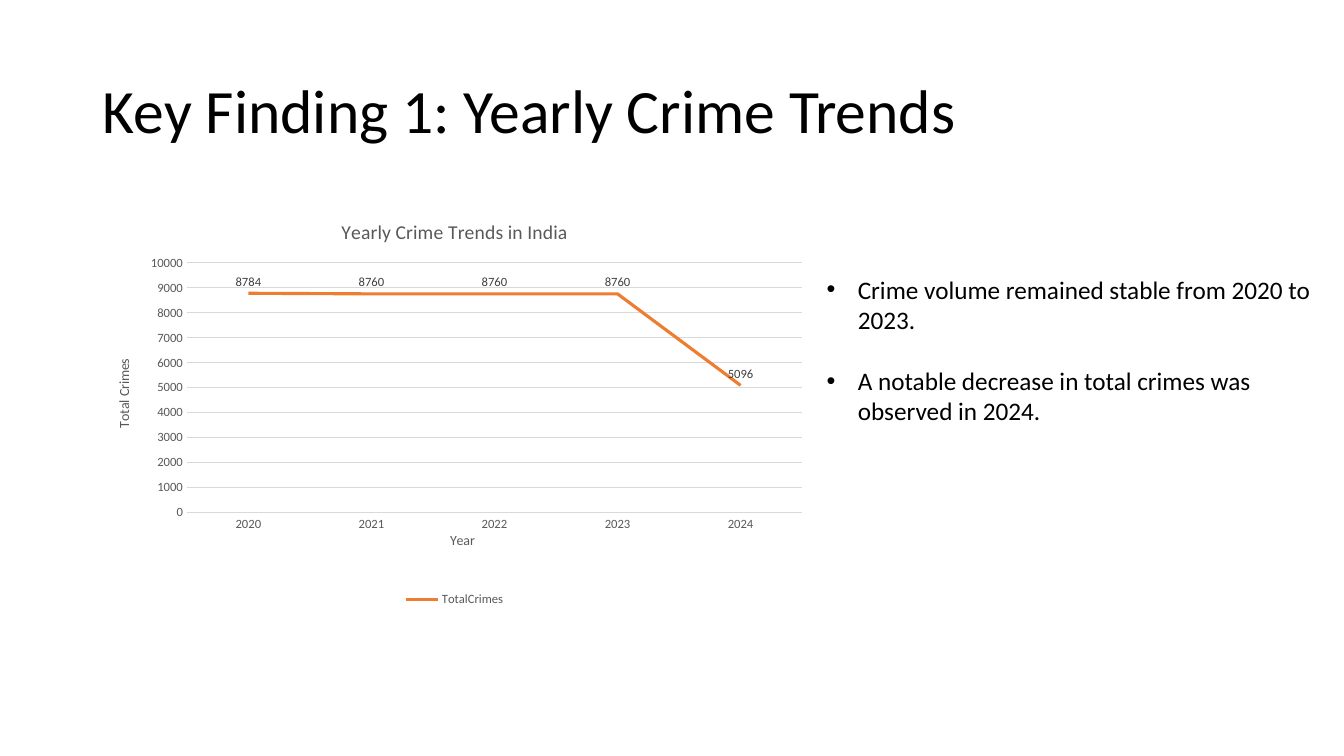
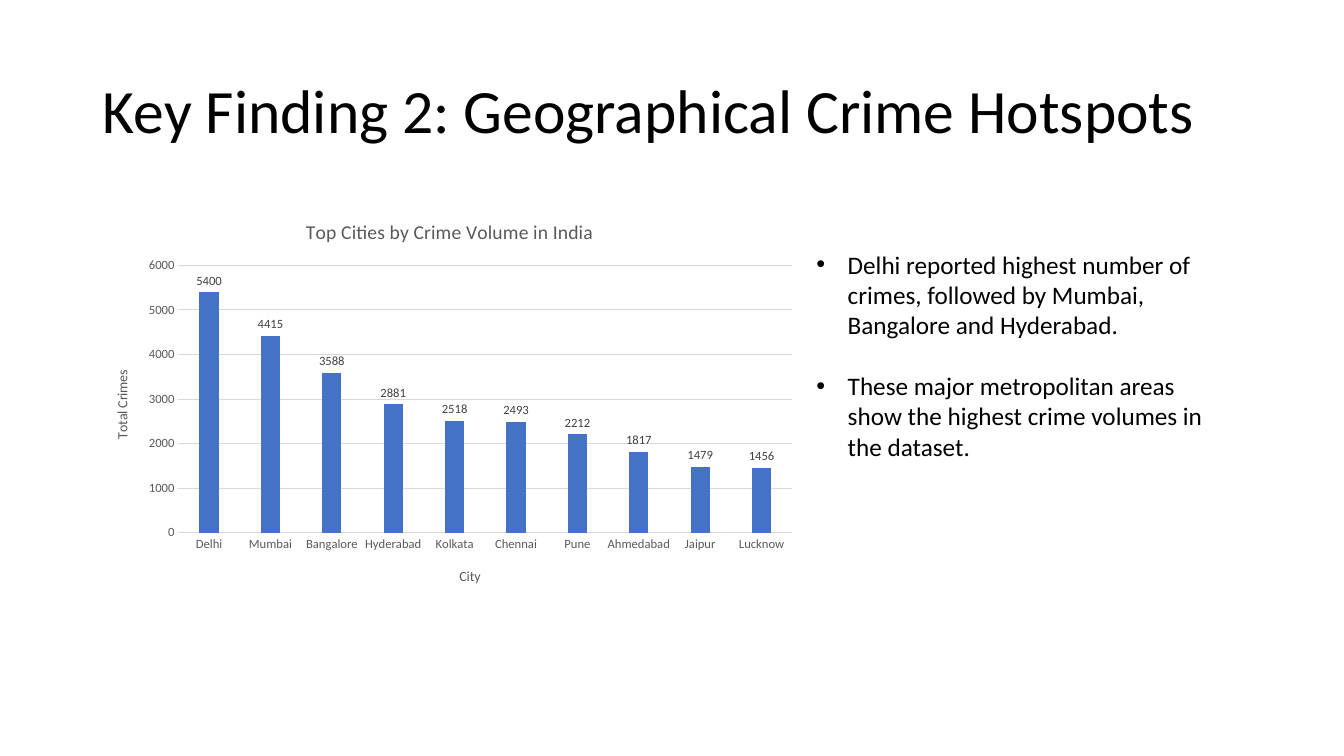
from lxml.etree import SubElement
from pptx import Presentation
from pptx.chart.data import CategoryChartData
from pptx.dml.color import RGBColor
from pptx.enum.chart import XL_CHART_TYPE as ChartType
from pptx.enum.chart import XL_LABEL_POSITION as LabelPos
from pptx.enum.chart import XL_LEGEND_POSITION as LegendPos
from pptx.enum.chart import XL_TICK_MARK as TickMark
from pptx.enum.text import MSO_ANCHOR, MSO_AUTO_SIZE, PP_ALIGN
from pptx.oxml.ns import qn
from pptx.util import Pt

PX = 9144
FONT = "Calibri"
COLORS = {
    "text": "000000",
    "chart_text": "595959",
    "label": "404040",
    "grid": "D9D9D9",
    "orange": "ED7D31",
    "blue": "4472C4",
}
SLIDE_SIZE = (1333, 750)
TITLE_BOX = (92, 40, 1150, 145)
BULLET_INDENT = 31

FINDINGS = [
    {
        "title": "Key Finding 1: Yearly Crime Trends",
        "points": [
            "Crime volume remained stable from 2020 to 2023.",
            "A notable decrease in total crimes was observed in 2024.",
        ],
        "points_box": (810, 267, 534, 252),
        "chart": {
            "kind": ChartType.LINE,
            "box": (92, 200, 718, 406),
            "title": "Yearly Crime Trends in India",
            "category_title": "Year",
            "series": "TotalCrimes",
            "color": "orange",
            "maximum": 10000,
            "plot": {"x": 0.13, "y": 0.15, "w": 0.85, "h": 0.61},
            "category_title_at": {"x": 0.49, "y": 0.8},
            "crimes": {"2020": 8784, "2021": 8760, "2022": 8760, "2023": 8760, "2024": 5096},
        },
    },
    {
        "title": "Key Finding 2: Geographical Crime Hotspots",
        "points": [
            "Delhi reported highest number of crimes, followed by Mumbai, Bangalore and Hyderabad.",
            "These major metropolitan areas show the highest crime volumes in the dataset.",
        ],
        "points_box": (800, 242, 417, 222),
        "chart": {
            "kind": ChartType.COLUMN_CLUSTERED,
            "box": (92, 200, 708, 396),
            "title": "Top Cities by Crime Volume in India",
            "category_title": "City",
            "series": "Series 1",
            "color": "blue",
            "maximum": 6000,
            "plot": {"x": 0.12, "y": 0.16, "w": 0.86, "h": 0.67},
            "category_title_at": {"x": 0.51, "y": 0.91},
            "crimes": {
                "Delhi": 5400, "Mumbai": 4415, "Bangalore": 3588, "Hyderabad": 2881,
                "Kolkata": 2518, "Chennai": 2493, "Pune": 2212, "Ahmedabad": 1817,
                "Jaipur": 1479, "Lucknow": 1456,
            },
        },
    },
]


def emu(box):
    return [length * PX for length in box]


def rgb(name):
    return RGBColor.from_string(COLORS[name])


def style_font(font, size, color):
    font.name = FONT
    font.size = Pt(size)
    font.bold = False
    font.color.rgb = rgb(color)


def style_line(line, color, width):
    line.color.rgb = rgb(color)
    line.width = Pt(width)


def set_layout(parent, fractions, inner=False):
    layout = parent.find(qn("c:layout"))
    if layout is None:
        layout = SubElement(parent, qn("c:layout"))
        parent.insert(0, layout)
    for child in list(layout):
        layout.remove(child)
    manual = SubElement(layout, qn("c:manualLayout"))
    settings = [("layoutTarget", "inner")] if inner else []
    settings += [("xMode", "edge"), ("yMode", "edge")]
    settings += [(key, str(value)) for key, value in fractions.items()]
    for tag, value in settings:
        SubElement(manual, qn(f"c:{tag}")).set("val", value)


def set_chart_title(frame, text, size):
    frame.text = text
    style_font(frame.paragraphs[0].runs[0].font, size, "chart_text")


def add_title(slide, text):
    title = slide.shapes.title
    title.left, title.top, title.width, title.height = emu(TITLE_BOX)
    frame = title.text_frame
    frame.text = text
    frame.auto_size = MSO_AUTO_SIZE.NONE
    frame.vertical_anchor = MSO_ANCHOR.MIDDLE
    heading = frame.paragraphs[0]
    heading.alignment = PP_ALIGN.LEFT
    heading.line_spacing = 0.9
    style_font(heading.runs[0].font, 44, "text")


def add_points(slide, points, box):
    frame = slide.shapes.add_textbox(*emu(box)).text_frame
    frame.word_wrap = True
    frame.text = "\n".join(points)
    for point in frame.paragraphs:
        point.space_after = Pt(22)
        style_font(point.runs[0].font, 18, "text")
        properties = point._p.get_or_add_pPr()
        properties.set("marL", str(BULLET_INDENT * PX))
        properties.set("indent", str(-BULLET_INDENT * PX))
        SubElement(properties, qn("a:buFont")).set("typeface", "Arial")
        SubElement(properties, qn("a:buChar")).set("char", "•")


def style_axes(chart, content):
    categories, values = chart.category_axis, chart.value_axis
    titles = (content["category_title"], "Total Crimes")
    for axis, text in zip((categories, values), titles):
        axis.major_tick_mark = axis.minor_tick_mark = TickMark.NONE
        style_font(axis.tick_labels.font, 9, "chart_text")
        set_chart_title(axis.axis_title.text_frame, text, 10)
    style_line(categories.format.line, "grid", 0.75)
    values.format.line.fill.background()
    style_line(values.major_gridlines.format.line, "grid", 0.75)
    values.minimum_scale = 0
    values.maximum_scale = content["maximum"]
    values.major_unit = 1000


def add_crime_chart(slide, content):
    crimes = content["crimes"]
    data = CategoryChartData()
    data.categories = list(crimes)
    data.add_series(content["series"], list(crimes.values()))
    chart = slide.shapes.add_chart(content["kind"], *emu(content["box"]), data).chart
    style_font(chart.font, 10, "text")
    set_chart_title(chart.chart_title.text_frame, content["title"], 14)
    style_axes(chart, content)

    plot = chart.plots[0]
    plot.vary_by_categories = False
    series = plot.series[0]
    is_line = content["kind"] == ChartType.LINE
    if is_line:
        series.smooth = False
        style_line(series.format.line, content["color"], 2.25)
    else:
        plot.gap_width, plot.overlap = 219, -27
        series.format.fill.solid()
        series.format.fill.fore_color.rgb = rgb(content["color"])

    labels = series.data_labels
    labels.show_value = True
    labels.position = LabelPos.ABOVE if is_line else LabelPos.OUTSIDE_END
    style_font(labels.font, 9, "label")

    chart.has_legend = is_line
    if is_line:
        chart.legend.position = LegendPos.BOTTOM
        chart.legend.include_in_layout = False
        style_font(chart.legend.font, 9, "chart_text")

    plot_area = next(chart.element.iter(qn("c:plotArea")))
    set_layout(plot_area, content["plot"], inner=True)
    set_layout(chart.category_axis.axis_title.element, content["category_title_at"])


def main():
    deck = Presentation()
    deck.slide_width, deck.slide_height = emu(SLIDE_SIZE)
    for finding in FINDINGS:
        slide = deck.slides.add_slide(deck.slide_layouts[5])
        add_title(slide, finding["title"])
        add_crime_chart(slide, finding["chart"])
        add_points(slide, finding["points"], finding["points_box"])
    deck.save("out.pptx")


if __name__ == "__main__":
    main()
